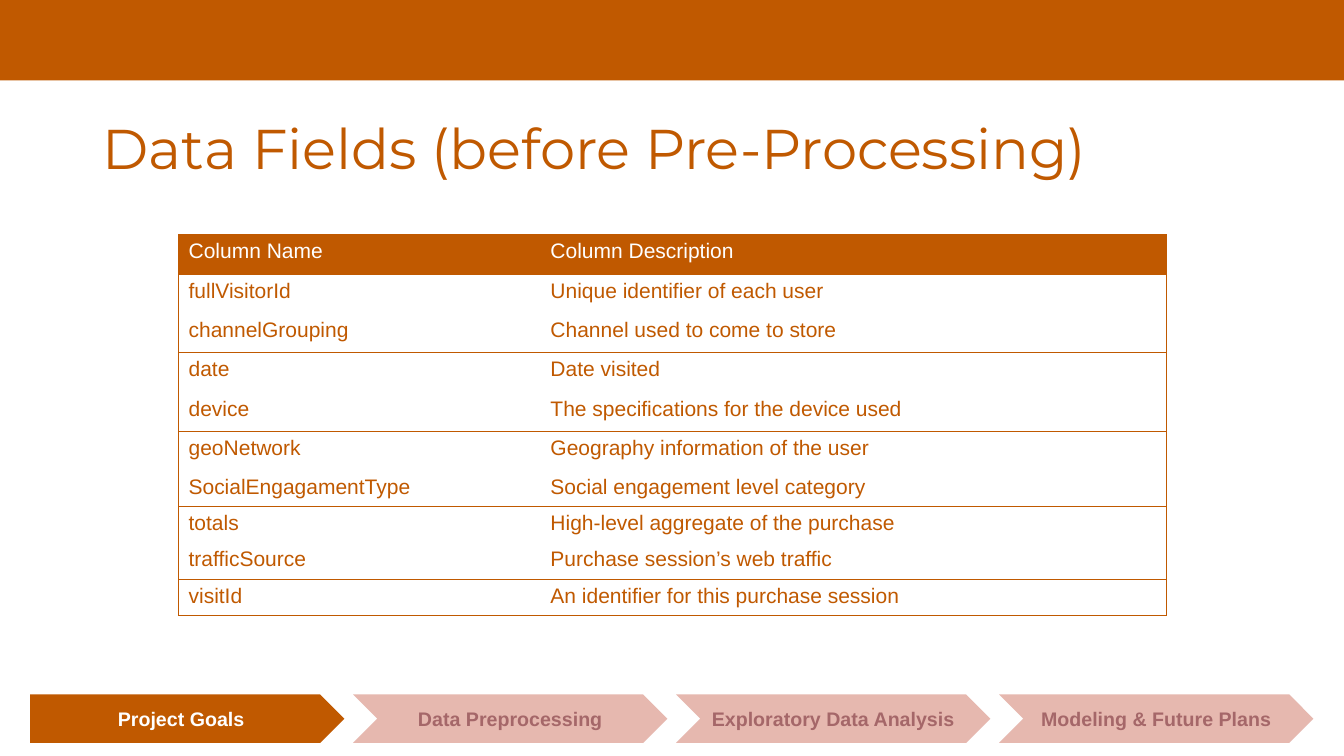
from lxml import etree
from pptx import Presentation
from pptx.dml.color import RGBColor
from pptx.enum.shapes import MSO_SHAPE
from pptx.enum.text import MSO_ANCHOR, PP_ALIGN
from pptx.oxml.ns import qn
from pptx.util import Cm, Pt

RECT = MSO_SHAPE.RECTANGLE
PENTAGON = MSO_SHAPE.PENTAGON
CHEVRON = MSO_SHAPE.CHEVRON
MIDDLE = MSO_ANCHOR.MIDDLE
CENTER = PP_ALIGN.CENTER

COLORS = {"orange": "C05900", "white": "FFFFFF", "pink": "E6B8AF", "mauve": "A56769"}

FIELDS = [
    ("Column Name", "Column Description"),
    ("fullVisitorId", "Unique identifier of each user"),
    ("channelGrouping", "Channel used to come to store"),
    ("date", "Date visited"),
    ("device", "The specifications for the device used"),
    ("geoNetwork", "Geography information of the user"),
    ("SocialEngagamentType", "Social engagement level category"),
    ("totals", "High-level aggregate of the purchase"),
    ("trafficSource", "Purchase session’s web traffic"),
    ("visitId", "An identifier for this purchase session"),
]
COL_WIDTHS = [9.12, 15.77]
ROW_HEIGHTS = [0.99] * 6 + [0.91] * 4

STEPS = ["Project Goals", "Data Preprocessing", "Exploratory Data Analysis", "Modeling & Future Plans"]
STEP_LEFT, STEP_TOP, STEP_PITCH = 0.76, 17.5, 8.14
STEP_WIDTH, STEP_HEIGHT = 7.92, 1.22


class Deck:
    def __init__(self, prs):
        self.s = prs.slides.add_slide(prs.slide_layouts[6])

    def color(self, name):
        return RGBColor.from_string(COLORS[name])

    def set_text(self, tf, text, size, color, font="Arial", bold=False):
        tf.text = text
        p = tf.paragraphs[0]
        r = p.runs[0]
        r.font.name = font
        r.font.size = Pt(size)
        r.font.bold = bold
        r.font.color.rgb = self.color(color)
        return p

    def shape(self, kind, x, y, w, h, fill):
        sp = self.s.shapes.add_shape(kind, Cm(x), Cm(y), Cm(w), Cm(h))
        sp.shadow.inherit = False
        sp.fill.solid()
        sp.fill.fore_color.rgb = self.color(fill)
        sp.line.fill.background()
        return sp

    def title(self, text, x, y, w, h):
        tf = self.s.shapes.add_textbox(Cm(x), Cm(y), Cm(w), Cm(h)).text_frame
        tf.word_wrap = True
        tf.vertical_anchor = MIDDLE
        p = self.set_text(tf, text, 40, "orange", "Montserrat")
        p.line_spacing = 0.9

    def step(self, kind, text, x, fill, color):
        sp = self.shape(kind, x, STEP_TOP, STEP_WIDTH, STEP_HEIGHT, fill)
        sp.adjustments[0] = 0.5
        tf = sp.text_frame
        tf.word_wrap = True
        tf.vertical_anchor = MIDDLE
        self.set_text(tf, text, 14, color, bold=True).alignment = CENTER

    def borders(self, cell, sides):
        tcPr = cell._tc.get_or_add_tcPr()
        for i, side in enumerate("LRTB"):
            ln = etree.Element(qn(f"a:ln{side}"), w=str(Pt(0.75)))
            if side in sides:
                fill = etree.SubElement(ln, qn("a:solidFill"))
                etree.SubElement(fill, qn("a:srgbClr"), val=COLORS["orange"])
            else:
                etree.SubElement(ln, qn("a:noFill"))
            tcPr.insert(i, ln)

    def table(self, rows, x, y, widths, heights):
        frame = self.s.shapes.add_table(
            len(rows), len(widths), Cm(x), Cm(y), Cm(sum(widths)), Cm(sum(heights)))
        tbl = frame.table
        tbl.horz_banding = False
        for col, width in zip(tbl.columns, widths):
            col.width = Cm(width)
        last = len(rows) - 1
        for i, texts in enumerate(rows):
            tbl.rows[i].height = Cm(heights[i])
            for j, text in enumerate(texts):
                cell = tbl.cell(i, j)
                self.set_text(cell.text_frame, text, 15, "orange" if i else "white")
                if i:
                    cell.fill.background()
                else:
                    cell.fill.solid()
                    cell.fill.fore_color.rgb = self.color("orange")
                sides = "R" if j else "L"
                if i == 0 or i % 2:
                    sides += "T"
                if i == last or i % 2 == 0:
                    sides += "B"
                self.borders(cell, sides)


def main():
    prs = Presentation()
    prs.slide_width, prs.slide_height = Cm(33.87), Cm(19.05)
    deck = Deck(prs)
    deck.shape(RECT, 0, 0, 33.87, 2.03, "orange")
    deck.title("Data Fields (before Pre-Processing)", 2.34, 2.92, 29.2, 1.8)
    deck.table(FIELDS, 4.5, 5.92, COL_WIDTHS, ROW_HEIGHTS)
    for i, text in enumerate(STEPS):
        kind, fill, color = (CHEVRON, "pink", "mauve") if i else (PENTAGON, "orange", "white")
        deck.step(kind, text, STEP_LEFT + i * STEP_PITCH, fill, color)
    prs.save("out.pptx")


if __name__ == "__main__":
    main()
